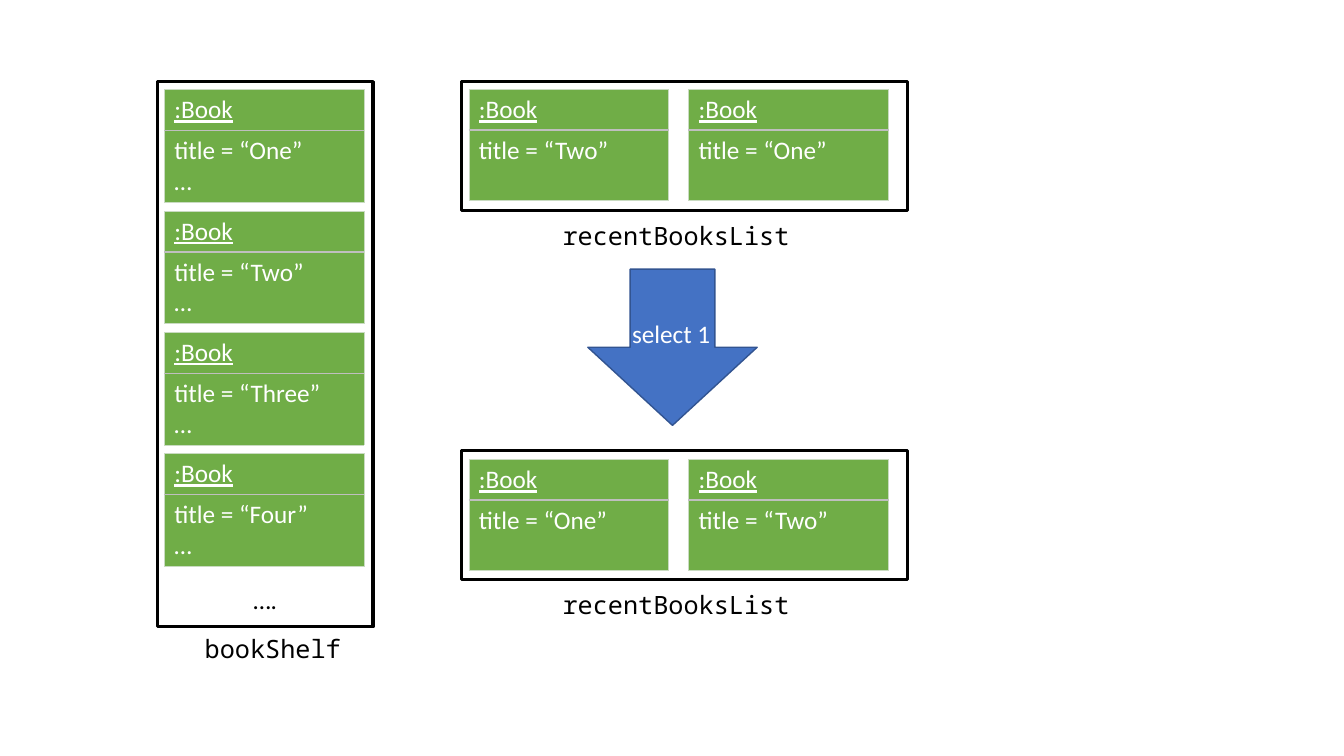
from dataclasses import dataclass

from lxml import etree
from pptx import Presentation
from pptx.dml.color import RGBColor
from pptx.enum.shapes import MSO_SHAPE
from pptx.enum.text import MSO_ANCHOR, PP_ALIGN
from pptx.oxml.ns import qn
from pptx.util import Inches, Pt

RECTANGLE, DOWN_ARROW = MSO_SHAPE.RECTANGLE, MSO_SHAPE.DOWN_ARROW
CENTER, LEFT = PP_ALIGN.CENTER, PP_ALIGN.LEFT
BOTTOM = MSO_ANCHOR.BOTTOM

BLACK, WHITE, GREEN, BLUE = "000000", "FFFFFF", "70AD47", "4472C4"
ARROW_EDGE, BOOK_EDGE, BOOK_DIVIDER = "325491", "C9DBC1", "BFBFBF"
SANS, MONO = "Calibri", "Noto Sans Mono"

BOOK_WIDTH, HEADER_HEIGHT, DETAIL_HEIGHT = 1.98, 0.4, 0.7
SHELF_TOP, SHELF_LEFT, SHELF_STEP = 0.89, 1.63, 1.204
LIST_LEFT, LIST_STEP = 4.65, 2.18


@dataclass
class Book:
    """One book object: its title, place and whether more fields follow."""
    title: str
    left: float
    top: float
    more: bool = False


@dataclass
class RecentList:
    """The recent books list in one state."""
    frame_top: float
    books_top: float
    label_top: float
    titles: tuple[str, ...]


def color(hex_code: str) -> RGBColor:
    """Turn a hex string into a colour."""
    return RGBColor.from_string(hex_code)


def set_font(paragraph, font_name: str, hex_code: str, align=LEFT) -> None:
    """Format a whole paragraph at the common text size."""
    paragraph.alignment = align
    paragraph.font.name = font_name
    paragraph.font.size = Pt(18)
    paragraph.font.bold = False
    paragraph.font.color.rgb = color(hex_code)


def add_box(slide, kind, left: float, top: float, width: float, height: float,
            fill: str, edge: str, edge_width: float):
    """Add a flat preset shape."""
    box = slide.shapes.add_shape(
        kind, Inches(left), Inches(top), Inches(width), Inches(height))
    box.shadow.inherit = False
    box.fill.solid()
    box.fill.fore_color.rgb = color(fill)
    box.line.color.rgb = color(edge)
    box.line.width = Pt(edge_width)
    return box


def add_label(slide, text: str, left: float, top: float, width: float = 2.69,
              font_name: str = MONO, hex_code: str = BLACK,
              align=CENTER, wrap: bool = True) -> None:
    """Add a one-line text label."""
    label = slide.shapes.add_textbox(
        Inches(left), Inches(top), Inches(width), Inches(0.4))
    label.text_frame.word_wrap = wrap
    label.text_frame.text = text
    set_font(label.text_frame.paragraphs[0], font_name, hex_code, align)


def style_cell(cell, top_edge: tuple[str, float],
               bottom_edge: tuple[str, float]) -> None:
    """Give a cell its borders, green fill and white text."""
    side = (BOOK_EDGE, 0.5)
    properties = cell._tc.get_or_add_tcPr()
    edges = {"a:lnL": side, "a:lnR": side,
             "a:lnT": top_edge, "a:lnB": bottom_edge}
    for tag, (hex_code, width) in edges.items():
        border = etree.SubElement(properties, qn(tag), w=str(Pt(width)))
        solid = etree.SubElement(border, qn("a:solidFill"))
        etree.SubElement(solid, qn("a:srgbClr"), val=hex_code)
    cell.fill.solid()
    cell.fill.fore_color.rgb = color(GREEN)
    for paragraph in cell.text_frame.paragraphs:
        set_font(paragraph, SANS, WHITE)


def add_book(slide, book: Book) -> None:
    """Draw a book as a table with a class row and a field row."""
    table = slide.shapes.add_table(
        2, 1, Inches(book.left), Inches(book.top), Inches(BOOK_WIDTH),
        Inches(HEADER_HEIGHT + DETAIL_HEIGHT)).table
    table.rows[0].height = Inches(HEADER_HEIGHT)
    table.rows[1].height = Inches(DETAIL_HEIGHT)
    header, details = table.cell(0, 0), table.cell(1, 0)
    header.text = ":Book"
    details.text = f"title = “{book.title}”" + ("\n…" if book.more else "")
    outer, divider = (BOOK_EDGE, 0.5), (BOOK_DIVIDER, 1)
    style_cell(header, outer, divider)
    style_cell(details, divider, outer)
    header.text_frame.paragraphs[0].font.underline = True


def add_shelf(slide) -> None:
    """Draw the bookShelf column."""
    shelf = add_box(slide, RECTANGLE, 1.56, 0.81, 2.14, 5.41,
                    WHITE, BLACK, 2.25)
    shelf.text_frame.text = "…."
    shelf.text_frame.vertical_anchor = BOTTOM
    shelf.text_frame.margin_bottom = Inches(0.12)
    set_font(shelf.text_frame.paragraphs[0], SANS, BLACK, CENTER)
    for row, title in enumerate(("One", "Two", "Three", "Four")):
        add_book(slide, Book(title, SHELF_LEFT,
                             SHELF_TOP + row * SHELF_STEP, more=True))
    add_label(slide, "bookShelf", 1.36, 6.23)


def add_recent_list(slide, recent: RecentList) -> None:
    """Draw one state of recentBooksList."""
    add_box(slide, RECTANGLE, 4.58, recent.frame_top, 4.42, 1.28,
            WHITE, BLACK, 2.25)
    for column, title in enumerate(recent.titles):
        add_book(slide, Book(title, LIST_LEFT + column * LIST_STEP,
                             recent.books_top))
    add_label(slide, "recentBooksList", 5.36, recent.label_top)


def main() -> None:
    """Build and save the slide."""
    deck = Presentation()
    deck.slide_width, deck.slide_height = Inches(13.33), Inches(7.5)
    slide = deck.slides.add_slide(deck.slide_layouts[6])

    add_shelf(slide)
    for recent in (RecentList(0.81, 0.89, 2.14, ("Two", "One")),
                   RecentList(4.47, 4.56, 5.8, ("One", "Two"))):
        add_recent_list(slide, recent)
    add_box(slide, DOWN_ARROW, 5.83, 2.67, 1.68, 1.55, BLUE, ARROW_EDGE, 1)
    add_label(slide, "select 1", 6.17, 3.11, 0.99, SANS, WHITE, LEFT, wrap=False)

    deck.save("out.pptx")


main()
